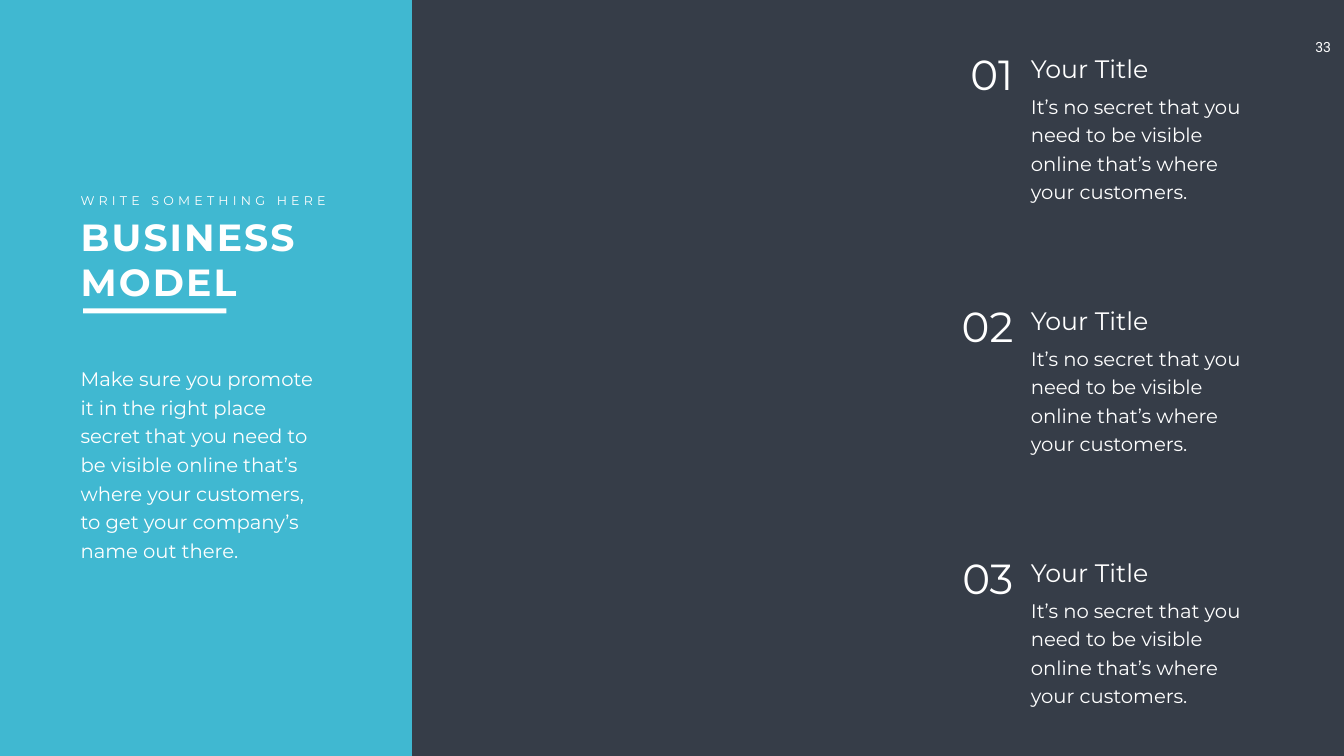
from pptx import Presentation
from pptx import util as u
from pptx.dml.color import RGBColor
from pptx.enum import shapes, text

NAVY = RGBColor(0x36, 0x3D, 0x48)
TEAL = RGBColor(0x40, 0xB8, 0xD1)
WHITE = RGBColor(0xFF, 0xFF, 0xFF)

LEFT, RIGHT, CENTER = text.PP_ALIGN.LEFT, text.PP_ALIGN.RIGHT, text.PP_ALIGN.CENTER
TITLE_ONLY = 5
ITEM_PITCH = 360
BODY_LEADING = 40.8
INTRO = ("Make sure you promote it in the right place secret that you need to be "
         "visible online that’s where your customers, to get your company’s name out there.")
ITEM_BODY = "It’s no secret that you need to be visible online that’s where your customers."
ITEMS = [("01", "Your Title", ITEM_BODY),
         ("02", "Your Title", ITEM_BODY),
         ("03", "Your Title", ITEM_BODY)]


def points(*lengths):
    """Convert plain numbers to lengths in points."""
    return [u.Pt(length) for length in lengths]


def apply(target, values):
    """Set each named attribute on the target."""
    for name, value in values.items():
        setattr(target, name, value)


def write(holder, wording, size, font="Montserrat", bold=False, align=LEFT,
          leading=None, tracking=0, wrap=True):
    """Fill a text holder with one formatted white paragraph."""
    frame = holder.text_frame
    apply(frame, {"word_wrap": wrap,
                  "auto_size": text.MSO_AUTO_SIZE.SHAPE_TO_FIT_TEXT,
                  "vertical_anchor": text.MSO_ANCHOR.TOP})
    paragraph = frame.paragraphs[0]
    apply(paragraph, {"alignment": align,
                      "line_spacing": u.Pt(leading) if leading else None})
    run = paragraph.add_run()
    run.text = wording
    apply(run.font, {"name": font, "size": u.Pt(size), "bold": bold})
    run.font.color.rgb = WHITE
    if tracking:
        run.font._element.set("spc", str(tracking * 100))


def add_label(parent, box, wording, size, **style):
    """Add a text box with one formatted paragraph."""
    label = parent.add_textbox(*points(*box))
    write(label, wording, size, **style)


def add_block(parent, box, color):
    """Add a flat rectangle without outline or shadow."""
    block = parent.add_shape(shapes.MSO_SHAPE.RECTANGLE, *points(*box))
    block.shadow.inherit = False
    block.fill.solid()
    block.fill.fore_color.rgb = color
    block.line.fill.background()
    return block


def add_heading(slide):
    """Place the headline with its panel, overline, underline and intro."""
    headline = slide.shapes.title
    left, top, width, height = points(108, 301, 372.5, 138)
    apply(headline, {"left": left, "top": top, "width": width, "height": height})
    write(headline, "BUSINESS MODEL", 54, bold=True, tracking=3)
    panel = add_block(slide.shapes, (0, 0, 588.24, 1080), TEAL)
    headline.element.addprevious(panel.element)
    add_label(slide.shapes, (108, 272, 373, 29), "WRITE SOMETHING HERE", 18,
              tracking=6, wrap=False)
    add_block(slide.shapes, (118.8, 440.6, 204.5, 7.2), WHITE)
    add_label(slide.shapes, (108, 514, 348, 294), INTRO, 28, leading=BODY_LEADING)


def add_item(slide, top, number, title, body):
    """Add one numbered item as a group."""
    item = slide.shapes.add_group_shape().shapes
    add_label(item, (1465.2, top + 52.5, 322, 169), body, 28, leading=BODY_LEADING)
    add_label(item, (1465.2, top, 193, 51), title, 36)
    add_label(item, (1345.7, top - 6.5, 108.7, 80), number, 60, align=RIGHT)


def main():
    """Build and save the slide."""
    deck = Presentation()
    apply(deck, {"slide_width": u.Pt(1919.52), "slide_height": u.Pt(1080)})
    slide = deck.slides.add_slide(deck.slide_layouts[TITLE_ONLY])
    slide.background.fill.solid()
    slide.background.fill.fore_color.rgb = NAVY
    add_heading(slide)
    for index, item in enumerate(ITEMS):
        add_item(slide, 72 + index * ITEM_PITCH, *item)
    add_label(slide.shapes, (1857, 51.8, 65.5, 39), "33", 20, font="Roboto",
              align=CENTER, wrap=False)
    deck.save("out.pptx")


if __name__ == "__main__":
    main()
